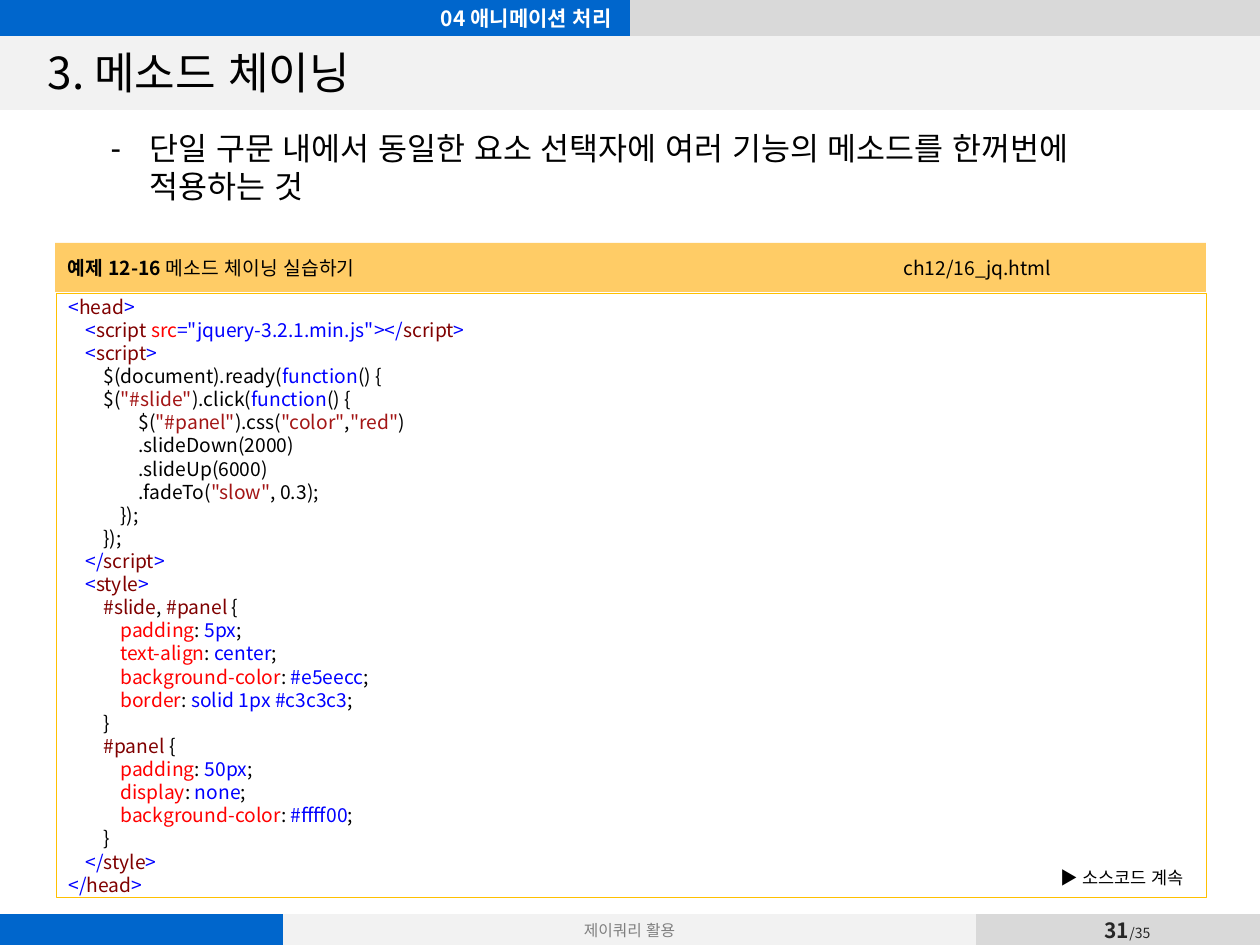
"""Build the method chaining lesson slide with its sample code."""
from dataclasses import dataclass
from typing import Any

from lxml.etree import SubElement
from pptx import Presentation
from pptx.dml.color import RGBColor
from pptx.enum.shapes import MSO_SHAPE
from pptx.enum.text import MSO_ANCHOR, MSO_AUTO_SIZE, PP_ALIGN
from pptx.oxml.ns import qn
from pptx.util import Pt

PX = 914400 / 126
SANS, ARIAL = "Noto Sans CJK KR", "Arial"
NO_GRID = "{2D5ABB26-0587-4C30-8999-92F81FD0307C}"
COLORS = {
    "blue": "0066CC", "pale": "F2F2F2", "gray": "D9D9D9", "muted": "808080",
    "dark": "262626", "white": "FFFFFF", "plain": "000000", "gold": "FFC000",
    "amber": "FFCC66", "mark": "0000FF", "name": "800000", "prop": "FF0000",
    "string": "A31515",
}


@dataclass(frozen=True)
class Box:
    left: int
    top: int
    width: int
    height: int

    def emu(self) -> tuple[int, ...]:
        return tuple(px(n) for n in (self.left, self.top, self.width, self.height))


@dataclass(frozen=True)
class Piece:
    text: str
    color: str = "plain"
    size: float = 11
    bold: bool = False
    font: str = SANS


@dataclass(frozen=True)
class CodeLine:
    level: int
    pieces: tuple[Piece, ...]


def px(count: int) -> int:
    return round(count * PX)


def rgb(color: str) -> RGBColor:
    return RGBColor.from_string(COLORS[color])


def apply(target: Any, formats: dict[str, Any]) -> None:
    for attribute, value in formats.items():
        setattr(target, attribute, value)


def write(paragraph: Any, *pieces: Piece, **formats: Any) -> None:
    apply(paragraph, formats)
    for piece in pieces:
        run = paragraph.add_run()
        run.text = piece.text
        apply(run.font, {"size": Pt(piece.size), "bold": piece.bold, "name": piece.font})
        run.font.color.rgb = rgb(piece.color)
        SubElement(run.font._element, qn("a:ea"), typeface=ARIAL)


def frame_of(shape: Any, **formats: Any) -> Any:
    frame = shape.text_frame
    apply(frame, {"word_wrap": True, "auto_size": MSO_AUTO_SIZE.NONE,
                  "vertical_anchor": MSO_ANCHOR.MIDDLE} | formats)
    return frame


def add_label(slide: Any, box: Box, *pieces: Piece, align: Any = PP_ALIGN.LEFT, **formats: Any) -> None:
    label = slide.shapes.add_textbox(*box.emu())
    write(frame_of(label, **formats).paragraphs[0], *pieces, alignment=align)


def add_panel(slide: Any, box: Box, fill: str = "", line: str = "") -> Any:
    panel = slide.shapes.add_shape(MSO_SHAPE.RECTANGLE, *box.emu())
    panel.shadow.inherit = False
    for part, color in ((panel.fill, fill), (panel.line.fill, line)):
        if color:
            part.solid()
            part.fore_color.rgb = rgb(color)
        else:
            part.background()
    if line:
        panel.line.width = Pt(0.5)
    return panel


def add_band(slide: Any, box: Box, columns: list[tuple[int, str]]) -> Any:
    band = slide.shapes.add_table(1, len(columns), *box.emu()).table
    apply(band, {"first_row": False, "horz_banding": False})
    band._tbl.tblPr.find(qn("a:tableStyleId")).text = NO_GRID
    for index, (width, color) in enumerate(columns):
        band.columns[index].width = px(width)
        cell = band.cell(0, index)
        apply(cell, {"margin_left": 0, "margin_right": 0, "margin_top": 0,
                     "margin_bottom": 0, "vertical_anchor": MSO_ANCHOR.MIDDLE})
        cell.fill.solid()
        cell.fill.fore_color.rgb = rgb(color)
        SubElement(cell.text_frame.paragraphs[0]._p, qn("a:endParaRPr"), sz="800")
    return band


def code(level: int, *parts: str | tuple[str, str]) -> CodeLine:
    return CodeLine(level, tuple(Piece(p) if isinstance(p, str) else Piece(*p) for p in parts))


def tag(level: int, name: str, opening: str = "<") -> CodeLine:
    return code(level, (opening, "mark"), (name, "name"), (">", "mark"))


def rule(prop: str, value: str) -> CodeLine:
    return code(3, (prop, "prop"), ": ", (value, "mark"), ";")


FUNCTION = ("function", "mark")
CODE = [
    tag(0, "head"),
    code(1, ("<", "mark"), ("script ", "name"), ("src", "prop"),
         ('="jquery-3.2.1.min.js"></', "mark"), ("script", "name"), (">", "mark")),
    tag(1, "script"),
    code(2, "$(document).ready(", FUNCTION, "() {"),
    code(2, "$(", ('"#slide"', "string"), ").click(", FUNCTION, "() {"),
    code(4, "$(", ('"#panel"', "string"), ").css(", ('"color"', "string"), ",",
         ('"red"', "string"), ")"),
    code(4, ".slideDown(2000)"),
    code(4, ".slideUp(6000)"),
    code(4, ".fadeTo(", ('"slow"', "string"), ", 0.3);"),
    code(3, "});"),
    code(2, "});"),
    tag(1, "script", "</"),
    tag(1, "style"),
    code(2, ("#slide", "name"), ", ", ("#panel", "name"), " {"),
    rule("padding", "5px"),
    rule("text-align", "center"),
    rule("background-color", "#e5eecc"),
    rule("border", "solid 1px #c3c3c3"),
    code(2, "}"),
    code(2, ("#panel", "name"), " {"),
    rule("padding", "50px"),
    rule("display", "none"),
    rule("background-color", "#ffff00"),
    code(2, "}"),
    tag(1, "style", "</"),
    tag(0, "head", "</"),
]


def add_page_bands(slide: Any) -> None:
    title_band = add_panel(slide, Box(0, 35, 1260, 75), fill="pale")
    slide.shapes._spTree.insert(2, title_band._element)
    add_band(slide, Box(0, 0, 1260, 36), [(630, "blue"), (630, "gray")])
    footer = add_band(slide, Box(0, 914, 1263, 34), [
        (283, "blue"), (693, "pale"), (4, "gray"), (169, "gray"), (114, "gray")])
    write(footer.cell(0, 1).text_frame.paragraphs[0], Piece("제이쿼리 활용", "muted", 9),
          alignment=PP_ALIGN.CENTER)
    add_label(slide, Box(1067, 914, 121, 33), Piece("31", "dark", 12, True),
              Piece("/35", "dark", 8), align=PP_ALIGN.CENTER,
              word_wrap=False, margin_left=0, margin_right=0)
    add_label(slide, Box(0, 0, 624, 36), Piece("04 애니메이션 처리", "white", 12, True),
              align=PP_ALIGN.RIGHT)


def fill_placeholders(slide: Any) -> None:
    title, body = slide.placeholders
    for holder, box in ((title, Box(35, 36, 1191, 71)), (body, Box(35, 123, 1162, 110))):
        apply(holder, dict(zip(("left", "top", "width", "height"), box.emu())))
    write(frame_of(title).paragraphs[0], Piece("3. 메소드 체이닝", size=25.2),
          alignment=PP_ALIGN.LEFT)
    definition = frame_of(body, vertical_anchor=MSO_ANCHOR.TOP).paragraphs[0]
    write(definition, Piece("단일 구문 내에서 동일한 요소 선택자에 여러 기능의 메소드를 한꺼번에 적용하는 것",
                            size=18, font=ARIAL), level=1, space_before=Pt(3.6))
    layout = definition._p.get_or_add_pPr()
    for attribute, length in (("marL", 102), ("indent", -39)):
        layout.set(attribute, str(px(length)))
    SubElement(layout, qn("a:buChar"), char="-")


def add_example(slide: Any) -> None:
    listing = frame_of(add_panel(slide, Box(56, 293, 1150, 605), line="gold"))
    for index, line in enumerate(CODE):
        paragraph = listing.add_paragraph() if index else listing.paragraphs[0]
        write(paragraph, *line.pieces, alignment=PP_ALIGN.LEFT)
        paragraph._p.get_or_add_pPr().set("marL", str(px(line.level * 35 // 2)))
    heading = frame_of(add_panel(slide, Box(55, 243, 1151, 49), fill="amber")).paragraphs[0]
    write(heading, Piece("예제 12-16 ", bold=True), Piece("메소드 체이닝 실습하기\tch12/16_jq.html"),
          alignment=PP_ALIGN.LEFT)
    stops = SubElement(heading._p.get_or_add_pPr(), qn("a:tabLst"))
    SubElement(stops, qn("a:tab"), pos=str(px(836)), algn="l")
    add_label(slide, Box(1048, 860, 161, 34), Piece("▶ 소스코드 계속", size=10, font=ARIAL),
              word_wrap=False, auto_size=MSO_AUTO_SIZE.SHAPE_TO_FIT_TEXT)


def main() -> None:
    deck = Presentation()
    apply(deck, {"slide_width": px(1260), "slide_height": px(945)})
    slide = deck.slides.add_slide(deck.slide_layouts[1])
    add_page_bands(slide)
    fill_placeholders(slide)
    add_example(slide)
    deck.save("out.pptx")


if __name__ == "__main__":
    main()
